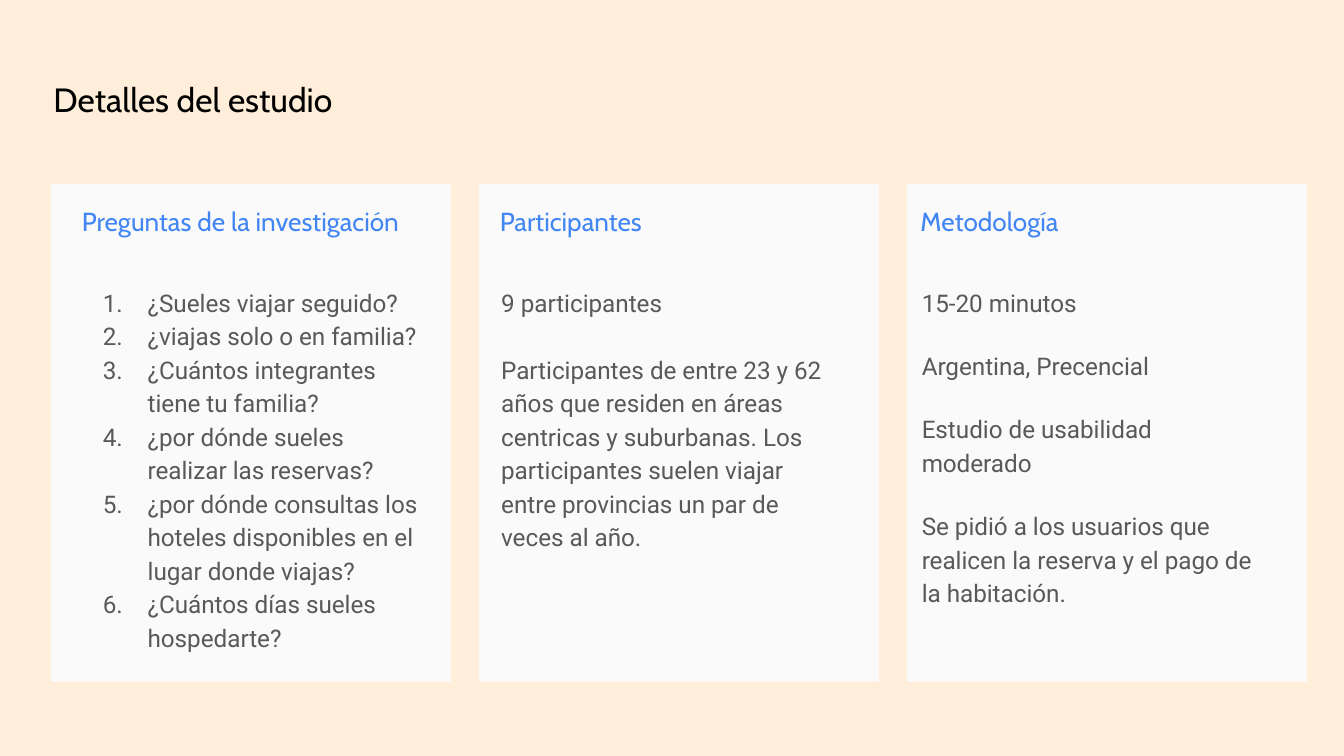
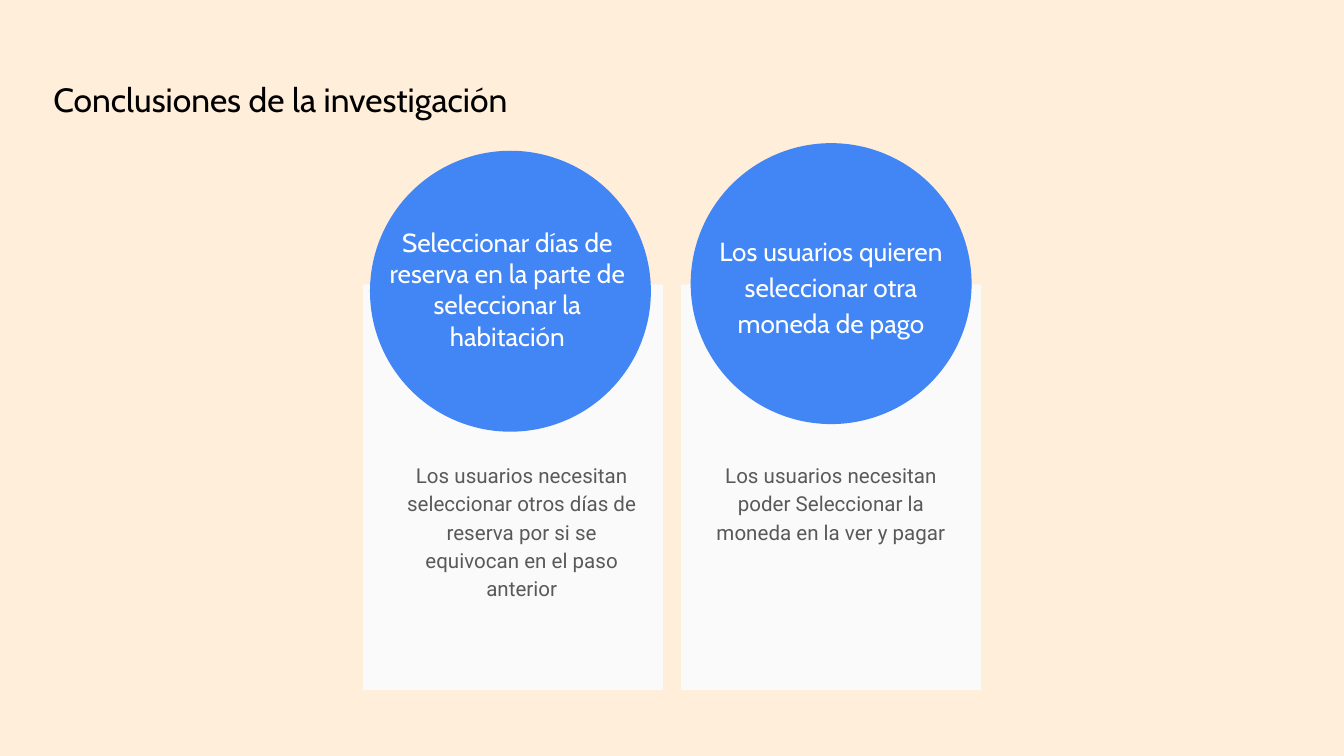
from dataclasses import dataclass

from lxml import etree
from pptx import Presentation
from pptx.dml.color import RGBColor
from pptx.enum import shapes, text
from pptx.oxml.ns import qn
from pptx.util import Pt


@dataclass(frozen=True)
class Theme:
    back: str = "FFEED9"
    card: str = "FAFAFA"
    blue: str = "4285F4"
    grey: str = "595959"
    black: str = "000000"
    white: str = "FFFFFF"
    head: str = "Cabin"
    body: str = "Roboto"
    title: int = 18
    label: int = 14
    copy: int = 13
    note: int = 11
    lead: float = 1.15
    inset: float = 7.2


T = Theme()
RECT = shapes.MSO_SHAPE.RECTANGLE
OVAL = shapes.MSO_SHAPE.OVAL

ASKS = [
    "¿Sueles viajar seguido?",
    "¿viajas solo o en familia?",
    "¿Cuántos integrantes tiene tu familia?",
    "¿por dónde sueles realizar las reservas?",
    "¿por dónde consultas los hoteles disponibles en el lugar donde viajas?",
    "¿Cuántos días sueles hospedarte?",
]
PEOPLE = [
    "9 participantes",
    "Participantes de entre 23 y 62 años que residen en áreas centricas y "
    "suburbanas. Los participantes suelen viajar entre provincias un par de "
    "veces al año.",
]
METHOD = [
    "15-20 minutos",
    "Argentina, Precencial",
    "Estudio de usabilidad moderado",
    "Se pidió a los usuarios que realicen la reserva y el pago de la "
    "habitación.",
]


def place(*box):
    return [Pt(n) for n in box]


def paint(slide, kind, box, color):
    """Add a flat preset shape without line or shadow."""
    shape = slide.shapes.add_shape(kind, *place(*box))
    shape.shadow.inherit = False
    shape.fill.solid()
    shape.fill.fore_color.rgb = RGBColor.from_string(color)
    shape.line.fill.background()


def number(para):
    """Turn a paragraph into a numbered item with a hanging indent."""
    props = para._p.get_or_add_pPr()
    props.set("marL", str(Pt(36)))
    props.set("indent", str(-Pt(24)))
    tint = etree.SubElement(props, qn("a:buClr"))
    etree.SubElement(tint, qn("a:srgbClr"), val=T.grey)
    etree.SubElement(props, qn("a:buAutoNum"), type="arabicPeriod")


def write(slide, box, lines, font, size, color, lead=T.lead, gap=0,
          center=False, listed=False):
    """Add a text box; gap is the space between paragraphs."""
    frame = slide.shapes.add_textbox(*place(*box)).text_frame
    frame.word_wrap = True
    frame.margin_left = frame.margin_right = Pt(T.inset)
    frame.margin_top = frame.margin_bottom = Pt(T.inset)
    for i, line in enumerate(lines):
        para = frame.add_paragraph() if i else frame.paragraphs[0]
        para.text = line
        if listed:
            number(para)
        para.line_spacing = lead
        if i:
            para.space_before = Pt(gap)
        if center:
            para.alignment = text.PP_ALIGN.CENTER
        para.font.name = font
        para.font.size = Pt(size)
        para.font.color.rgb = RGBColor.from_string(color)


def start(deck, title):
    """Add a slide with the shared background and title."""
    slide = deck.slides.add_slide(deck.slide_layouts[6])
    slide.background.fill.solid()
    slide.background.fill.fore_color.rgb = RGBColor.from_string(T.back)
    write(slide, (21.6, 31.7, 435, 52), [title], T.head, T.title, T.black)
    return slide


def panel(slide, col, left, label, lines, gap=0, listed=False):
    """Add one study card in the given column, its text starting at left."""
    paint(slide, RECT, (27.3 + 229.3 * col, 98.6, 214.4, 266.6), T.card)
    write(slide, (left, 103, 195, 22.3), [label],
          T.head, T.label, T.blue, lead=1)
    shift = -0.7 if listed else 0.7
    write(slide, (left + shift, 144.7, 195, 205 if listed else 174), lines,
          T.body, T.copy, T.grey, gap=gap, listed=listed)


def finding(slide, card, disc, label, note, lead):
    """Add one conclusion; disc, label and note start with (left, top)."""
    paint(slide, RECT, (card, 152.4, 160.7, 217.2), T.card)
    paint(slide, OVAL, (*disc, 150.5, 150.5), T.blue)
    x, y, line = label
    write(slide, (x, y, 140.4, 42.5), [line],
          T.head, T.label, T.white, lead=lead, center=True)
    x, y, line = note
    write(slide, (x, y, 140.4, 75), [line],
          T.body, T.note, T.grey, center=True)


def main():
    deck = Presentation()
    deck.slide_width, deck.slide_height = Pt(720), Pt(405)

    study = start(deck, "Detalles del estudio")
    panel(study, 0, 36.7, "Preguntas de la investigación", ASKS, listed=True)
    panel(study, 1, 260.7, "Participantes", PEOPLE, gap=18)
    panel(study, 2, 486, "Metodología", METHOD, gap=16)

    ends = start(deck, "Conclusiones de la investigación")
    finding(
        ends, 194.4, (198.2, 80.8),
        (201.6, 113.8, "Seleccionar días de reserva en la parte de "
                       "seleccionar la habitación"),
        (209.3, 239, "Los usuarios necesitan seleccionar otros días de "
                     "reserva por si se equivocan en el paso anterior"),
        lead=1)
    finding(
        ends, 364.8, (370, 76.7),
        (375, 116.6, "Los usuarios quieren seleccionar otra moneda de pago"),
        (375, 239, "Los usuarios necesitan poder Seleccionar la moneda en "
                   "la ver y pagar"),
        lead=T.lead)

    deck.save("out.pptx")


if __name__ == "__main__":
    main()
